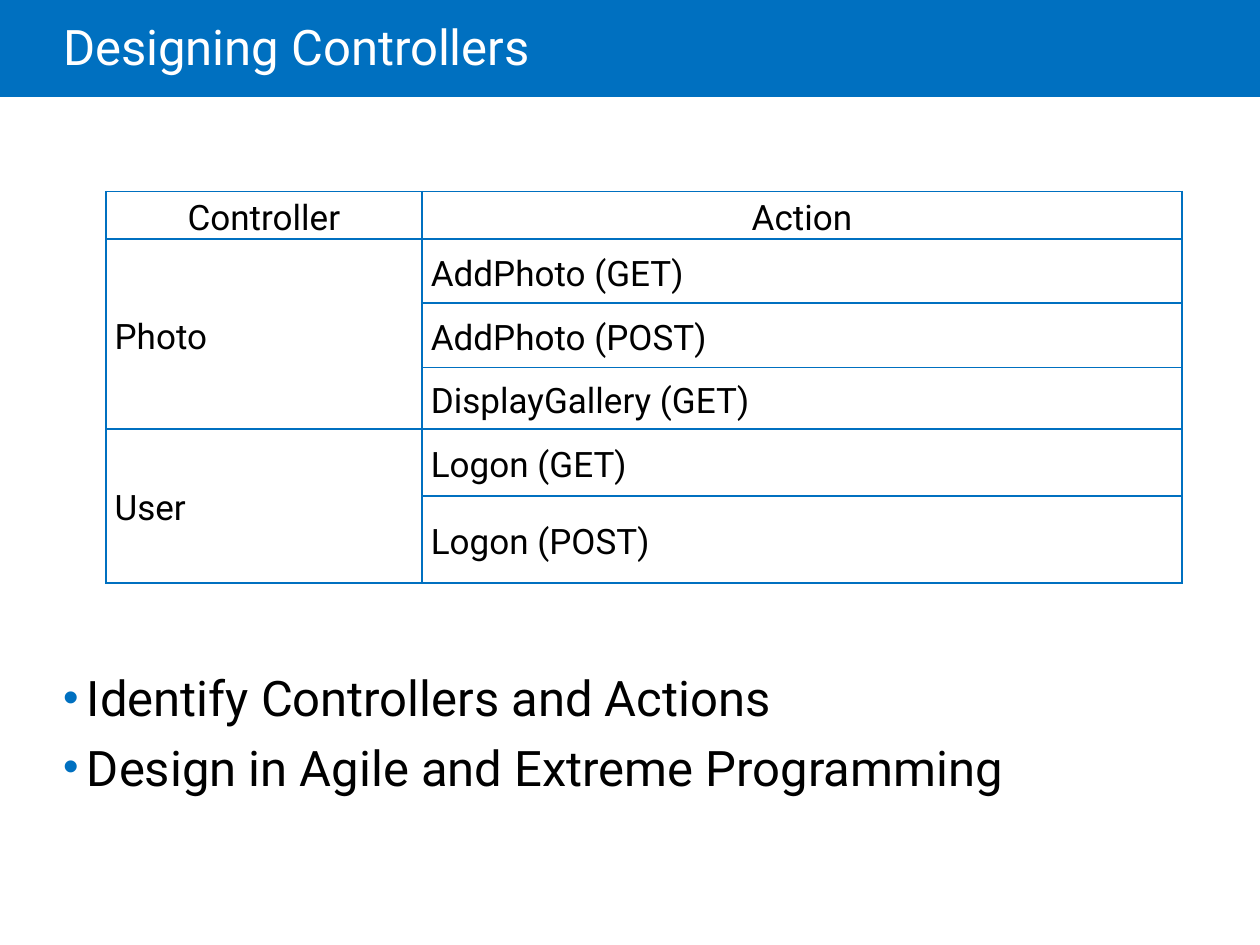
from dataclasses import dataclass

from lxml.etree import SubElement
from pptx import Presentation
from pptx.dml.color import RGBColor
from pptx.enum.shapes import MSO_SHAPE
from pptx.enum.text import MSO_ANCHOR, MSO_AUTO_SIZE, PP_ALIGN
from pptx.oxml.ns import qn
from pptx.util import Inches, Pt

WIDTH, HEIGHT = 10, 7.5
MARGIN = 0.05 * WIDTH
BLUE, BLACK, WHITE, GREY = "0070C0", "000000", "FFFFFF", "505050"
FONT = "Roboto"
COLUMNS = (2.51, 6.03)
ROWS = (0.34, 0.51, 0.51, 0.49, 0.53, 0.69)
INDENT = 0.19


@dataclass(frozen=True)
class Controller:
    name: str
    actions: tuple[str, ...]


@dataclass(frozen=True)
class Edge:
    side: str
    colour: str
    points: float


CONTROLLERS = (
    Controller("Photo", ("AddPhoto (GET)", "AddPhoto (POST)", "DisplayGallery (GET)")),
    Controller("User", ("Logon (GET)", "Logon (POST)")),
)
TOPICS = ("Identify Controllers and Actions", "Design in Agile and Extreme Programming")


def rgb(colour: str) -> RGBColor:
    return RGBColor.from_string(colour)


def place(shape, left: float, top: float, width: float, height: float) -> None:
    shape.left, shape.top = Inches(left), Inches(top)
    shape.width, shape.height = Inches(width), Inches(height)


def inset(frame, left: float, top: float, right: float, bottom: float) -> None:
    frame.margin_left, frame.margin_top = Inches(left), Inches(top)
    frame.margin_right, frame.margin_bottom = Inches(right), Inches(bottom)


def write(paragraph, words: str, size: float, colour: str, align=PP_ALIGN.LEFT) -> None:
    paragraph.alignment = align
    run = paragraph.add_run()
    run.text = words
    run.font.name, run.font.size = FONT, Pt(size)
    run.font.color.rgb = rgb(colour)


def add_bullet(paragraph) -> None:
    properties = paragraph._p.get_or_add_pPr()
    properties.set("marL", str(Inches(INDENT)))
    properties.set("indent", str(-Inches(INDENT)))
    tint = SubElement(properties, qn("a:buClr"))
    SubElement(tint, qn("a:srgbClr"), val=BLUE)
    SubElement(properties, qn("a:buSzPct"), val="90000")
    SubElement(properties, qn("a:buFont"), typeface="Arial")
    SubElement(properties, qn("a:buChar"), char="•")


def draw_edge(cell, edge: Edge) -> None:
    line = SubElement(cell._tc.get_or_add_tcPr(), qn(f"a:ln{edge.side}"), w=str(Pt(edge.points)))
    fill = SubElement(line, qn("a:solidFill"))
    SubElement(fill, qn("a:srgbClr"), val=edge.colour)


def fill_cell(cell, words: str, align=PP_ALIGN.LEFT) -> None:
    cell.vertical_anchor = MSO_ANCHOR.MIDDLE
    inset(cell, 0.07, 0, 0.07, 0)
    paragraph = cell.text_frame.paragraphs[0]
    paragraph.line_spacing = 1.15
    write(paragraph, words, 20, BLACK, align)


def add_header(slide) -> None:
    band = slide.shapes.add_shape(MSO_SHAPE.RECTANGLE, 0, 0, Inches(WIDTH), Inches(0.77))
    band.shadow.inherit = False
    band.fill.solid()
    band.fill.fore_color.rgb = rgb(BLUE)
    band.line.fill.background()
    slide.shapes._spTree.insert(2, band._element)
    title = slide.shapes.title
    place(title, MARGIN, 0, 0.85 * WIDTH, 0.81)
    frame = title.text_frame
    frame.auto_size = MSO_AUTO_SIZE.NONE
    frame.vertical_anchor = MSO_ANCHOR.MIDDLE
    inset(frame, 0, 0.05, 0.1, 0.05)
    frame.paragraphs[0].line_spacing = 0.85
    write(frame.paragraphs[0], "Designing Controllers", 28, WHITE)


def add_topics(slide) -> None:
    topics = slide.placeholders[1]
    place(topics, MARGIN, 5.3, 8.88, 1.44)
    frame = topics.text_frame
    frame.auto_size = MSO_AUTO_SIZE.NONE
    inset(frame, 0, 0, 0, 0)
    for index, topic in enumerate(TOPICS):
        paragraph = frame.add_paragraph() if index else frame.paragraphs[0]
        paragraph.space_before = Pt(6)
        add_bullet(paragraph)
        write(paragraph, topic, 28, BLACK)


def add_controllers(slide) -> None:
    table = slide.shapes.add_table(
        len(ROWS), len(COLUMNS), Inches(0.84), Inches(1.52),
        Inches(sum(COLUMNS)), Inches(sum(ROWS)),
    ).table
    table.first_row = table.horz_banding = False
    for column, width in zip(table.columns, COLUMNS):
        column.width = Inches(width)
    for row, height in zip(table.rows, ROWS):
        row.height = Inches(height)

    for column, heading in enumerate(("Controller", "Action")):
        fill_cell(table.cell(0, column), heading, PP_ALIGN.CENTER)
    top = 1
    for controller in CONTROLLERS:
        bottom = top + len(controller.actions) - 1
        table.cell(top, 0).merge(table.cell(bottom, 0))
        fill_cell(table.cell(top, 0), controller.name)
        for row, action in enumerate(controller.actions, top):
            fill_cell(table.cell(row, 1), action)
        top = bottom + 1

    for cell in table.iter_cells():
        for side in "LRTB":
            draw_edge(cell, Edge(side, BLUE, 1))
        cell.fill.background()


def main() -> None:
    deck = Presentation()
    deck.slide_width, deck.slide_height = Inches(WIDTH), Inches(HEIGHT)
    slide = deck.slides.add_slide(deck.slide_layouts[1])
    add_header(slide)
    add_topics(slide)
    add_controllers(slide)
    deck.save("out.pptx")


if __name__ == "__main__":
    main()
